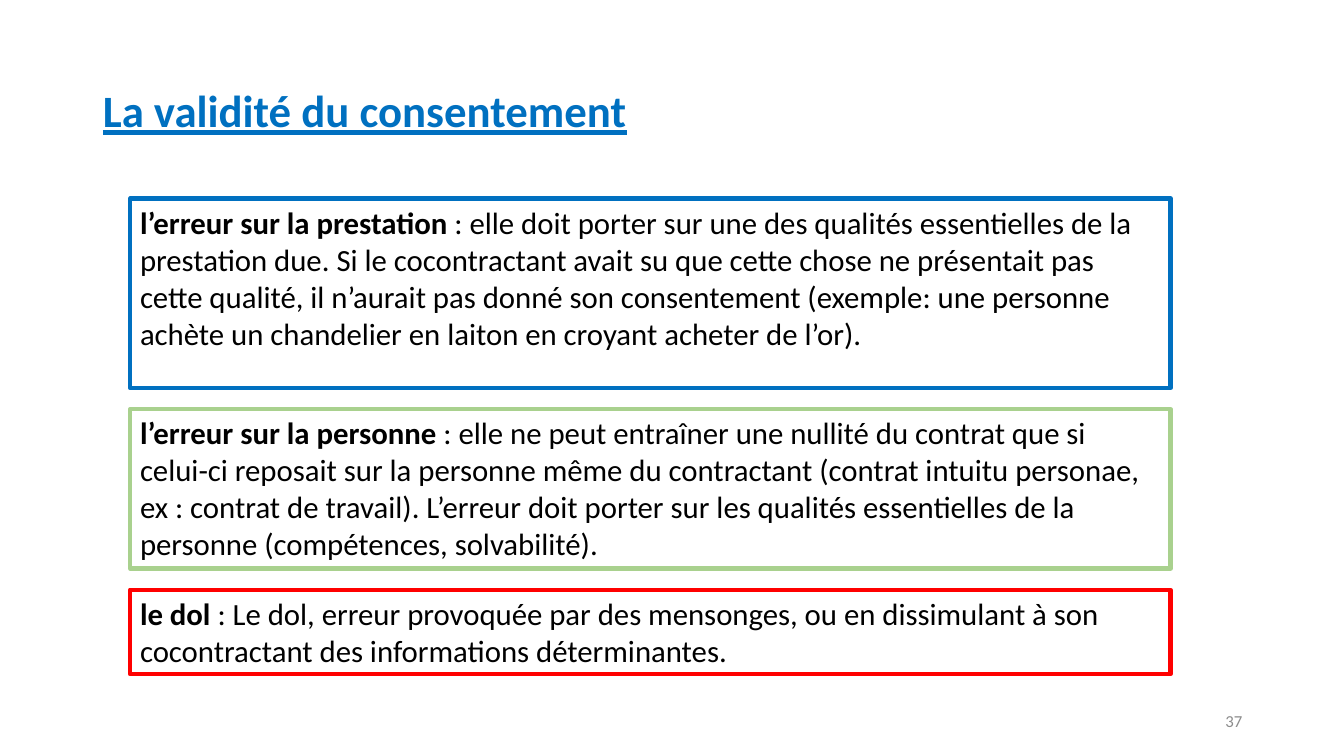
from pptx import Presentation
from pptx.dml.color import RGBColor
from pptx.enum.text import MSO_ANCHOR, PP_ALIGN
from pptx.util import Inches, Pt


def paint(code):
    """Turn a hex string into a colour."""
    return RGBColor.from_string(code)


def write(para, text, size=22, color="000000", bold=False, line=False,
          align=PP_ALIGN.LEFT):
    """Add one formatted run to a paragraph."""
    para.alignment = align
    run = para.add_run()
    run.text = text
    font = run.font
    font.name, font.size = "Calibri", Pt(size)
    font.bold, font.underline = bold, line
    font.color.rgb = paint(color)


deck = Presentation()
deck.slide_width, deck.slide_height = Inches(13.33), Inches(7.5)
slide = deck.slides.add_slide(deck.slide_layouts[5])

# Title
title = slide.shapes.title
title.left, title.top = Inches(0.92), Inches(0.4)
title.width, title.height = Inches(11.5), Inches(1.45)
title.text_frame.vertical_anchor = MSO_ANCHOR.MIDDLE
head = title.text_frame.paragraphs[0]
head.line_spacing = 0.9
write(head, "La validité du consentement", size=32, color="0070C0",
      bold=True, line=True)

# Framed definitions, stacked with an equal gap
terms = [
    (1.88, "0070C0", "l’erreur sur la prestation",
     "\u00a0: elle doit porter sur une des qualités essentielles de la "
     "prestation due. Si le cocontractant avait su que cette chose ne "
     "présentait pas cette qualité, il n’aurait pas donné son consentement "
     "(exemple:\u00a0une personne achète un chandelier en laiton en croyant "
     "acheter de l’or)."),
    (1.58, "A9D18E", "l’erreur sur la personne",
     "\u00a0: elle ne peut entraîner une nullité du contrat que si celui-ci "
     "reposait sur la personne même du contractant (contrat intuitu "
     "personae, ex : contrat de travail). L’erreur doit porter sur les "
     "qualités essentielles de la personne (compétences, solvabilité)."),
    (0.84, "FF0000", "le dol",
     "\u00a0:\u00a0Le dol, erreur\u00a0provoquée par des\u00a0mensonges,"
     "\u00a0ou en\u00a0dissimulant à son cocontractant des informations "
     "déterminantes."),
]
gap = 0.21
top = 1.97
for height, color, term, sense in terms:
    box = slide.shapes.add_textbox(Inches(1.29), Inches(top),
                                   Inches(10.32), Inches(height))
    box.line.color.rgb = paint(color)
    box.line.width = Pt(3)
    box.text_frame.word_wrap = True
    para = box.text_frame.paragraphs[0]
    write(para, term, bold=True)
    write(para, sense)
    top += height + gap

# Page number
page = slide.shapes.add_textbox(Inches(9.42), Inches(6.95),
                                Inches(3), Inches(0.4))
page.text_frame.word_wrap = True
page.text_frame.vertical_anchor = MSO_ANCHOR.MIDDLE
write(page.text_frame.paragraphs[0], "37", size=12, color="8C8C8C",
      align=PP_ALIGN.RIGHT)

deck.save("out.pptx")
